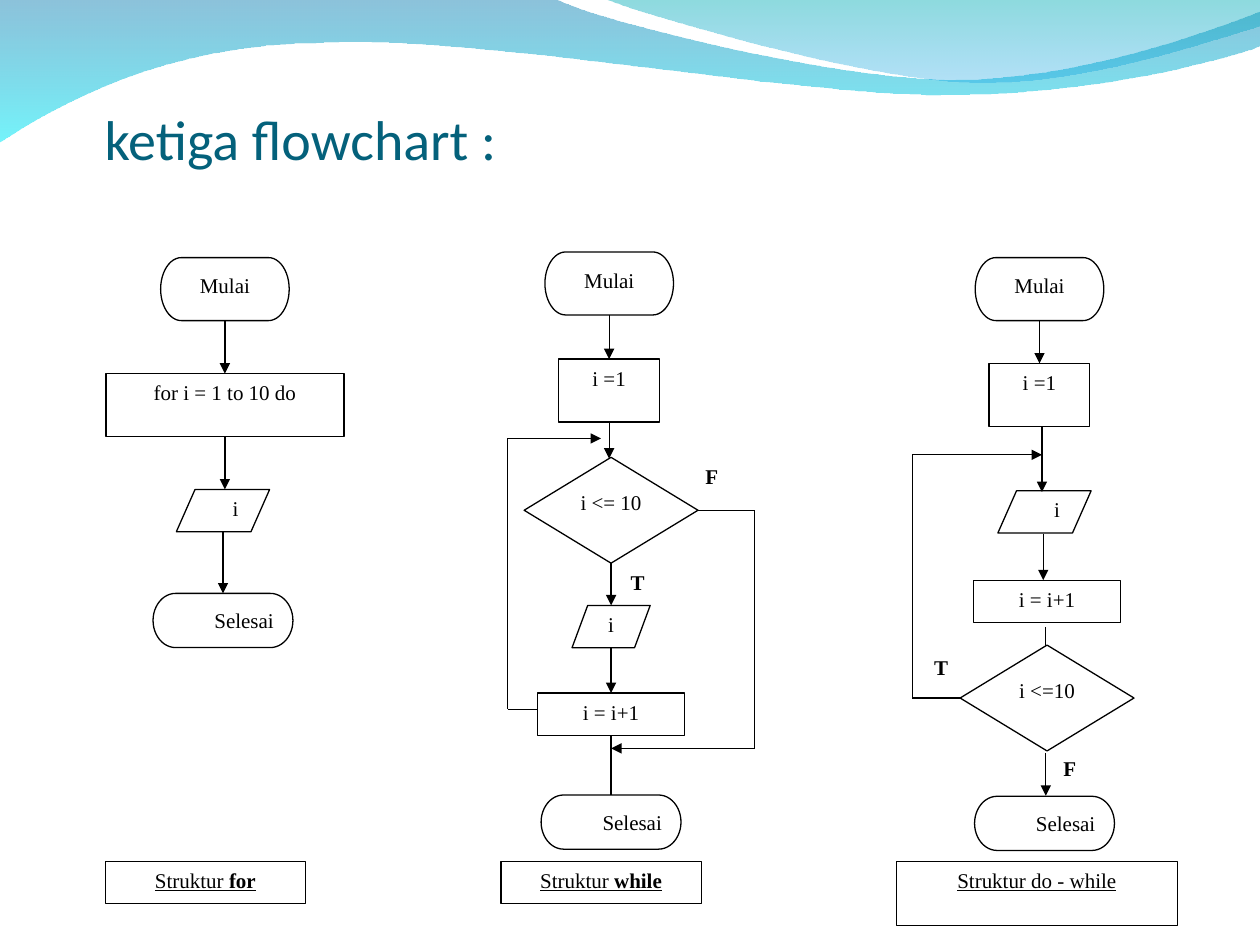
import pptx
import pptx.util
import pptx.dml.color
import pptx.enum.shapes
import pptx.enum.text
import pptx.oxml.ns
import lxml.etree

KIND = pptx.enum.shapes.MSO_SHAPE
ALIGN = pptx.enum.text.PP_ALIGN
ANCHOR = pptx.enum.text.MSO_ANCHOR
TOP, LEFT, LOW, RIGHT = range(4)
HUES = {"ink": "000000", "paper": "FFFFFF", "title": "04617B", "navy": "0079AF",
        "cyan": "00EBF8", "teal": "00ADB6", "sky": "009BE5"}
NODES = {
    "ends": (KIND.FLOWCHART_TERMINATOR, 10.2, 5, ALIGN.CENTER),
    "stop": (KIND.FLOWCHART_TERMINATOR, 11.1, 4.3, ALIGN.RIGHT),
    "loop": (KIND.RECTANGLE, 18.9, 5, ALIGN.CENTER),
    "init": (KIND.RECTANGLE, 8, 5, ALIGN.CENTER),
    "step": (KIND.FLOWCHART_PROCESS, 11.7, 3.35, ALIGN.CENTER),
    "test": (KIND.FLOWCHART_DECISION, 13.8, 8.4, ALIGN.CENTER),
    "data": (KIND.FLOWCHART_DATA, 7.4, 3.35, ALIGN.RIGHT),
    "slim": (KIND.FLOWCHART_DATA, 6.2, 3.35, ALIGN.CENTER),
}

deck = pptx.Presentation()
deck.slide_width = pptx.util.Inches(10)
deck.slide_height = pptx.util.Inches(7.5)
COL = deck.slide_width / 100
ROW = deck.slide_height / 75
slide = deck.slides.add_slide(deck.slide_layouts[6])
shapes = slide.shapes


def hue(name):
    return pptx.dml.color.RGBColor.from_string(HUES[name])


def grid(x, y, wide, high):
    return [round(v) for v in (x * COL, y * ROW, wide * COL, high * ROW)]


def child(node, tag, **attrs):
    item = lxml.etree.SubElement(node, pptx.oxml.ns.qn(tag))
    for key, value in attrs.items():
        item.set(key, value)
    return item


def write(shape, runs, size=12, font="Times New Roman", color="ink", align=ALIGN.CENTER,
          bold=False, under=False, anchor=ANCHOR.TOP, side=1, low=0.5):
    frame = shape.text_frame
    frame.word_wrap = True
    frame.vertical_anchor = anchor
    frame.margin_left = frame.margin_right = round(side * COL)
    frame.margin_top = round(0.5 * ROW)
    frame.margin_bottom = round(low * ROW)
    para = frame.paragraphs[0]
    para.alignment = align
    for text, heavy in [(runs, bold)] if isinstance(runs, str) else runs:
        run = para.add_run()
        run.text = text
        run.font.name = font
        run.font.size = pptx.util.Pt(size)
        run.font.bold = heavy
        run.font.underline = under
        run.font.color.rgb = hue(color)


def block(kind, x, y, wide, high):
    shape = shapes.add_shape(kind, *grid(x, y, wide, high))
    shape.shadow.inherit = False
    shape.fill.solid()
    shape.fill.fore_color.rgb = hue("paper")
    shape.line.color.rgb = hue("ink")
    shape.line.width = pptx.util.Pt(0.75)
    return shape


def node(box, name, x, y, text):
    kind, wide, high, align = NODES[name]
    shape = block(kind, box[0] + x - wide / 2, box[1] + y, wide, high)
    write(shape, text, align=align, side=0 if name == "test" else 1)
    return shape


def label(box, x, y, text):
    write(shapes.add_textbox(*grid(box[0] + x, box[1] + y, 5.8, 5)), text, bold=True)


def spot(box, x, y):
    return round((box[0] + x) * COL), round((box[1] + y) * ROW), None, 0


def port(shape, side):
    x = shape.left + shape.width * {LEFT: 0, RIGHT: 1}.get(side, 0.5)
    y = shape.top + shape.height * {TOP: 0, LOW: 1}.get(side, 0.5)
    joint = None if shape.auto_shape_type == KIND.FLOWCHART_DATA else shape
    return round(x), round(y), joint, side


def link(start, end, tip="a:tailEnd"):
    line = shapes.add_connector(pptx.enum.shapes.MSO_CONNECTOR.STRAIGHT, *start[:2], *end[:2])
    for join, (x, y, shape, side) in ((line.begin_connect, start), (line.end_connect, end)):
        if shape is not None:
            join(shape, side)
    line.line.color.rgb = hue("ink")
    line.line.width = pptx.util.Pt(0.75)
    if tip:
        child(line.line._get_or_add_ln(), tip, type="triangle")
    child(line._element.spPr, "a:effectLst")


def chain(*items):
    for upper, lower in zip(items, items[1:]):
        link(port(upper, LOW), port(lower, TOP))


def drop(box, x, top, low):
    link(spot(box, x, top), spot(box, x, low))


def wave(box, parts, stops):
    dots = [spot(box, 10 * x, 10 * y)[:2]
            for part in parts for x, y in zip(part[::2], part[1::2])]
    pen = shapes.build_freeform(*dots[0], scale=1.0)
    pen.add_line_segments(dots[1:], close=True)
    shape = pen.convert_to_shape()
    lines = list(shape._element.iter(pptx.oxml.ns.qn("a:lnTo")))
    for part in parts[1:]:
        group, lines = lines[:len(part) // 2], lines[len(part) // 2:]
        if len(group) == 3:
            curve = lxml.etree.Element(pptx.oxml.ns.qn("a:cubicBezTo"))
            group[0].addprevious(curve)
            for line in group:
                curve.append(line[0])
                line.getparent().remove(line)
    shape.shadow.inherit = False
    shape.line.fill.background()
    shape.fill.gradient()
    shape.fill.gradient_angle = 270
    for stop, place, (color, alpha) in zip(shape.fill.gradient_stops, (0, 1), stops):
        stop.position = place
        stop.color.rgb = hue(color)
        tint = stop._element.find(pptx.oxml.ns.qn("a:srgbClr"))
        child(tint, "a:alpha", val=str(alpha * 1000))


def header(box):
    wave(box, [(0, -0.01), (4.4, -0.01), (4.76, 0.17, 6.64, 0.63, 7.58, 0.63),
               (8.53, 0.63, 9.58, 0.26, 10, 0.09), (10.01, 0.36),
               (9.83, 0.44, 8.7, 0.76, 7.46, 0.75), (6.22, 0.75, 3.82, 0.28, 2.57, 0.34),
               (1.29, 0.35, 0.46, 0.83, -0.01, 1.13)], [("navy", 45), ("cyan", 55)])
    wave(box, [(4.79, -0.01), (5.09, 0.11, 6.82, 0.62, 7.69, 0.65),
               (8.56, 0.69, 9.61, 0.32, 10, 0.21), (10, 0)], [("teal", 45), ("sky", 30)])
    write(shapes.add_textbox(*grid(box[0] + 8.3, box[1] + 7.2, 89.3, 6.4)),
          "ketiga flowchart :", size=32, font="Calibri", color="title",
          align=ALIGN.LEFT, anchor=ANCHOR.BOTTOM, side=0, low=0)


def count(box):
    head, mid = 9.5, 9.35
    start = node(box, "ends", head, 0, "Mulai")
    loop = node(box, "loop", head, 9.2, "for i = 1 to 10 do")
    show = node(box, "data", mid, 18.4, "i")
    stop = node(box, "stop", mid, 26.65, "Selesai")
    chain(start, loop)
    drop(box, head, 14.2, 18.4)
    chain(show, stop)


def before(box):
    head, mid, edge = 8.05, 8.2, 19.6
    start = node(box, "ends", head, 0, "Mulai")
    init = node(box, "init", head, 8.5, "i =1")
    test = node(box, "test", mid, 16.3, "i <= 10")
    show = node(box, "slim", mid, 28.05, "i")
    step = node(box, "step", mid, 35, "i = i+1")
    stop = node(box, "stop", mid, 43.1, "Selesai")
    chain(start, init)
    drop(box, head, 13.5, 16.4)
    chain(test, show, step)
    link(port(step, LOW), port(stop, TOP), tip=None)
    link(port(test, RIGHT), spot(box, edge, 20.5), tip=None)
    link(spot(box, edge, 20.5), spot(box, edge, 39.4), tip=None)
    link(spot(box, mid, 39.4), spot(box, edge, 39.4), tip="a:headEnd")
    link(spot(box, 0, 36.3), spot(box, 2.35, 36.3), tip=None)
    link(spot(box, 0, 14.8), spot(box, 0, 36.3), tip=None)
    link(spot(box, 0, 14.8), spot(box, 7.4, 14.8))
    label(box, 13.3, 16.3, "F")
    label(box, 7.4, 24.7, "T")


def after(box):
    head, mid, low = 10.1, 10.5, 10.7
    start = node(box, "ends", head, 0, "Mulai")
    init = node(box, "init", head, 8.4, "i =1")
    show = node(box, "data", mid, 18.5, "i")
    step = node(box, "step", low, 25.6, "i = i+1")
    drop(box, 10.6, 29.3, 34.3)
    test = node(box, "test", low, 30.75, "i <=10")
    node(box, "stop", mid, 42.75, "Selesai")
    chain(start, init)
    drop(box, 10.3, 13.4, 18.6)
    drop(box, 10.4, 21.9, 25.6)
    drop(box, 10.6, 39.3, 42.7)
    link(spot(box, 0, 34.95), port(test, LEFT), tip=None)
    link(spot(box, 0, 15.65), spot(box, 0, 34.95), tip=None)
    link(spot(box, 0, 15.65), spot(box, 10.3, 15.65))
    label(box, -0.6, 31, "T")
    label(box, 9.6, 39, "F")


def names(box):
    items = [([("Struktur ", False), ("for", True)], 15.9, 3.35),
             ([("Struktur ", False), ("while", True)], 15.9, 3.35),
             ("Struktur do - while", 22.3, 5.1)]
    for i, (runs, wide, high) in enumerate(items):
        write(block(KIND.RECTANGLE, box[0] + 31.4 * i, box[1], wide, high), runs, under=True)


header((0, 0))
count((8.35, 20.45))
before((40.3, 20))
after((72.4, 20.45))
names((8.35, 68.35))
deck.save("out.pptx")
